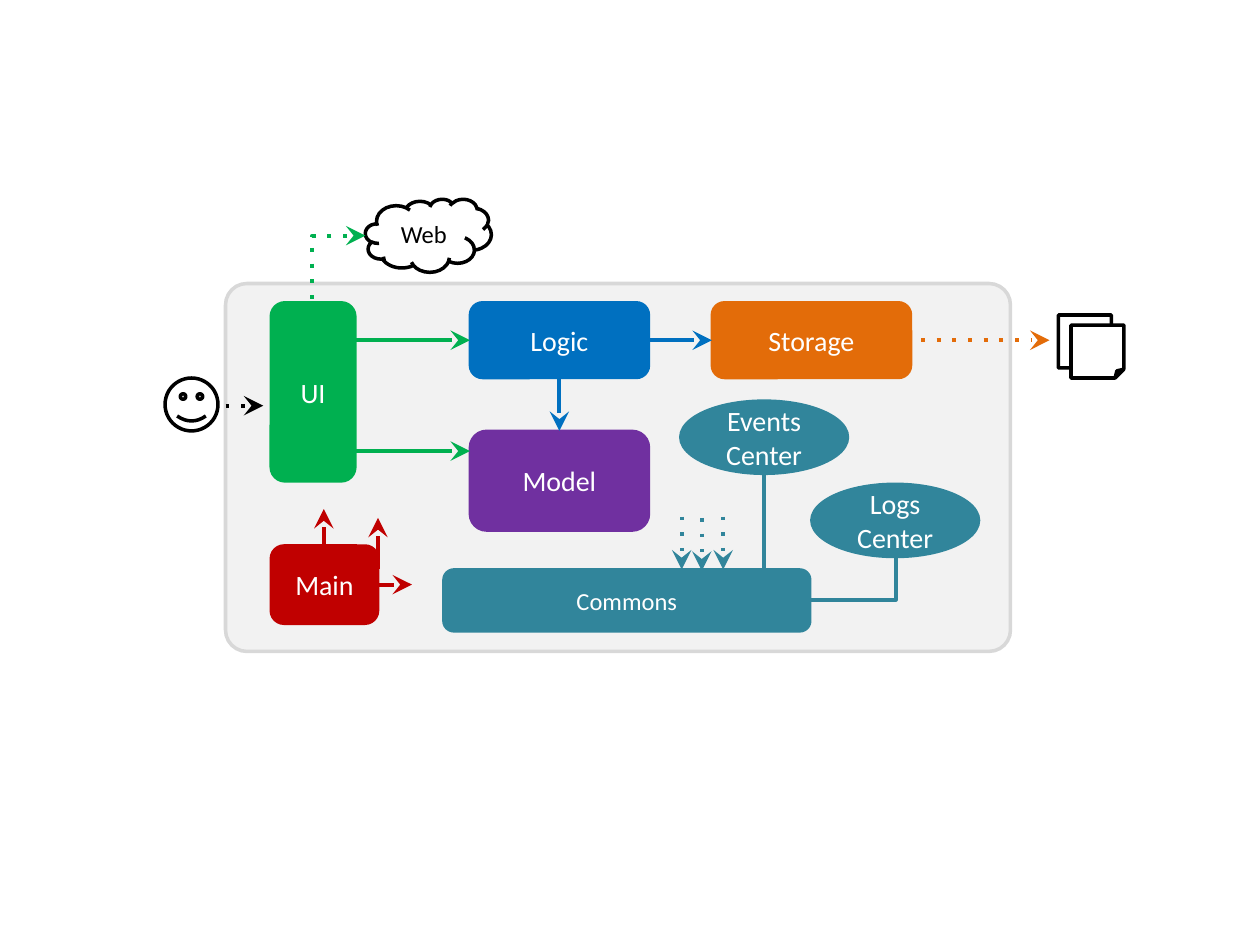
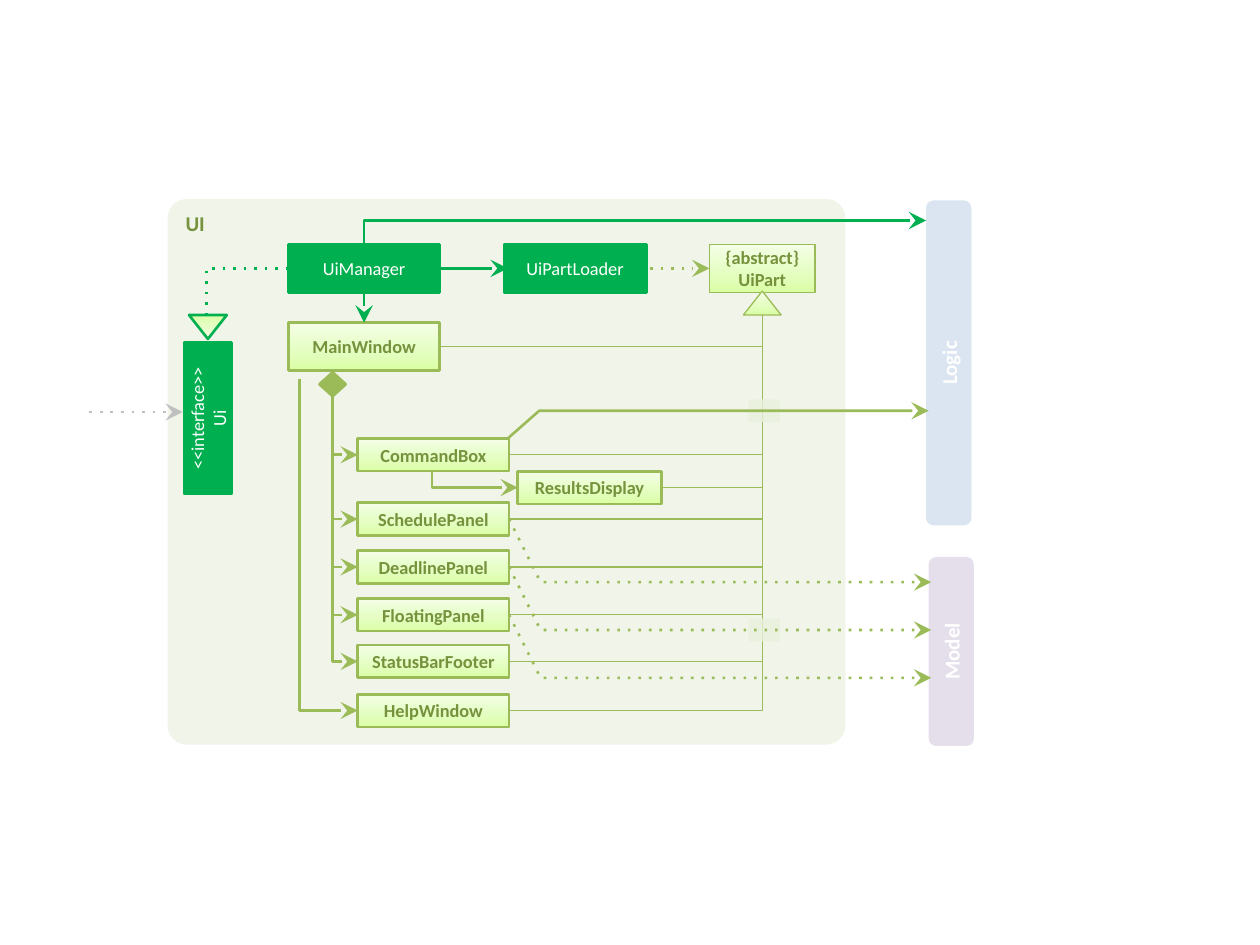
"""Draws an application's architecture overview and its UI class diagram."""
from copy import deepcopy
from lxml import etree
from pptx import Presentation, util as u
from pptx.dml.color import RGBColor
from pptx.enum import shapes, text
from pptx.oxml.ns import qn

KIND = shapes.MSO_SHAPE
FONT = "Calibri"
WHITE, BLACK, GREEN, BLUE = "FFFFFF", "000000", "00B050", "0070C0"
ORANGE, PURPLE, RED, TEAL = "E36C09", "7030A0", "C00000", "31859B"
OLIVE, MOSS, GREY = "9BBB59", "76923C", "BFBFBF"
LIME = ((0, "DAFEA4"), (0.35, "E3FEBF"), (1, "F4FEE6"))


def color(value):
    return RGBColor.from_string(value)


def write(box, label, size=16, ink=WHITE, bold=False,
          align=text.PP_ALIGN.CENTER, anchor=text.MSO_ANCHOR.MIDDLE):
    frame = box.text_frame
    frame.word_wrap = True
    frame.vertical_anchor = anchor
    frame.text = label
    for para in frame.paragraphs:
        para.alignment = align
        for span in para.runs:
            span.font.name = FONT
            span.font.size = u.Pt(size)
            span.font.bold = bold
            span.font.color.rgb = color(ink)


class Diagram:
    def __init__(self, deck, weight):
        self.page = deck.slides.add_slide(deck.slide_layouts[6])
        self.weight = weight

    def paint(self, box, fill, opacity=None):
        if isinstance(fill, tuple):
            box.fill.gradient()
            box.fill.gradient_angle = 90
            stops = box.element.spPr.find(qn("a:gradFill")).find(qn("a:gsLst"))
            stops.insert(1, deepcopy(stops[0]))
            for stop, (position, shade) in zip(box.fill.gradient_stops, fill):
                stop.position = position
                stop.color.rgb = color(shade)
            return
        box.fill.solid()
        box.fill.fore_color.rgb = color(fill)
        if opacity:
            solid = box.element.spPr.find(qn("a:solidFill"))
            etree.SubElement(solid[0], qn("a:alpha"), val=str(opacity * 1000))

    def box(self, kind, at, fill, line=None, weight=1.5, label=None,
            radius=None, rotation=0, opacity=None, **style):
        box = self.page.shapes.add_shape(kind, *map(u.Inches, at))
        box.shadow.inherit = False
        box.rotation = rotation
        if radius is not None:
            box.adjustments[0] = radius
        self.paint(box, fill, opacity)
        if line:
            box.line.color.rgb = color(line)
            box.line.width = u.Pt(weight)
        else:
            box.line.fill.background()
        if label:
            write(box, label, **style)
        return box

    def stroke(self, item, ink, weight=None, dotted=False, arrow=None):
        item.line.color.rgb = color(ink)
        item.line.width = u.Pt(weight or self.weight)
        outline = item.element.spPr.find(qn("a:ln"))
        if dotted:
            etree.SubElement(outline, qn("a:prstDash"), val="dot")
        if arrow:
            etree.SubElement(outline, qn(f"a:{arrow}End"),
                             type="stealth", w="lg", len="lg")

    def line(self, start, end, ink, kind=shapes.MSO_CONNECTOR.STRAIGHT, **style):
        line = self.page.shapes.add_connector(
            kind, *map(u.Inches, (*start, *end)))
        self.stroke(line, ink, **style)
        etree.SubElement(line.element.spPr, qn("a:effectLst"))
        return line

    def arrow(self, start, end, ink, **style):
        self.line(start, end, ink, arrow="tail", **style)

    def elbow(self, start, end, ink, **style):
        """Runs across from the start, then up or down to the end."""
        line = self.line(start, end, ink, shapes.MSO_CONNECTOR.ELBOW, **style)
        line.element.spPr.find(qn("a:prstGeom")).set("prst", "bentConnector2")

    def bent_arrow(self, points, ink, **style):
        first, *rest = [tuple(map(u.Inches, point)) for point in points]
        builder = self.page.shapes.build_freeform(*first, scale=1.0)
        builder.add_line_segments(rest, close=False)
        path = builder.convert_to_shape()
        path.shadow.inherit = False
        path.fill.background()
        self.stroke(path, ink, arrow="tail", **style)


def draw_architecture(deck):
    art = Diagram(deck, 2.25)
    art.box(KIND.ROUNDED_RECTANGLE, (1.79, 2.25, 6.23, 2.92), "F2F2F2",
            "D8D8D8", 2, radius=0.058)
    for label, at, fill, size in (
            ("UI", (2.15, 2.4, 0.67, 1.42), GREEN, 16),
            ("Logic", (3.73, 2.4, 1.42, 0.6), BLUE, 16),
            ("Storage", (5.65, 2.4, 1.58, 0.6), ORANGE, 16),
            ("Model", (3.73, 3.42, 1.42, 0.79), PURPLE, 16),
            ("Commons", (3.52, 4.52, 2.91, 0.49), TEAL, 14),
            ("Main", (2.15, 4.33, 0.85, 0.62), RED, 16)):
        art.box(KIND.ROUNDED_RECTANGLE, at, fill, fill, label=label, size=size)

    for start, end, ink in (
            ((2.81, 2.7), (3.73, 2.7), GREEN),
            ((2.81, 3.58), (3.73, 3.58), GREEN),
            ((4.44, 3), (4.44, 3.42), BLUE),
            ((5.15, 2.7), (5.65, 2.7), BLUE),
            ((3, 4.64), (3.27, 4.64), RED),
            ((3, 4.52), (3, 4.11), RED),
            ((2.57, 4.37), (2.57, 4.04), RED)):
        art.arrow(start, end, ink)
    for start, end, ink in (
            ((1.79, 3.22), (2.09, 3.22), BLACK),
            ((7.31, 2.7), (8.33, 2.7), ORANGE),
            ((5.41, 4.1), (5.41, 4.52), TEAL),
            ((5.57, 4.11), (5.57, 4.53), TEAL),
            ((5.74, 4.1), (5.74, 4.52), TEAL)):
        art.arrow(start, end, ink, dotted=True)

    art.box(KIND.SMILEY_FACE, (1.31, 3, 0.42, 0.42), WHITE, BLACK, 2)
    for left, top in ((8.4, 2.5), (8.5, 2.58)):
        art.box(KIND.FOLDED_CORNER, (left, top, 0.42, 0.42), WHITE, BLACK, 2)
    art.box(KIND.CLOUD, (2.9, 1.58, 1, 0.58), WHITE, BLACK, 2,
            label="Web", size=14, ink=BLACK)
    art.elbow((2.9, 1.87), (2.48, 2.4), GREEN, dotted=True, arrow="head")

    for label, left, top in (("Events Center", 5.4, 3.18),
                             ("Logs\nCenter", 6.44, 3.84)):
        art.box(KIND.OVAL, (left, top, 1.33, 0.58), TEAL, TEAL, label=label)
    art.elbow((6.43, 4.76), (7.11, 4.43), TEAL)
    art.line((6.06, 3.77), (6.06, 4.53), TEAL)


def draw_ui(deck):
    art = Diagram(deck, 1.5)
    solid = dict(fill=GREEN, line=GREEN, size=10.5)
    pale = dict(fill=LIME, line=OLIVE, size=10.5, ink=MOSS, bold=True)
    root = (6.05, 2.5)
    panels = {"CommandBox": 3.48, "SchedulePanel": 3.99, "DeadlinePanel": 4.37,
              "FloatingPanel": 4.75, "StatusBarFooter": 5.12,
              "HelpWindow": 5.51}

    art.box(KIND.ROUNDED_RECTANGLE, (1.33, 1.58, 5.38, 4.33), "F1F5E9",
            radius=0.035, label="UI", size=12, ink=MOSS, bold=True,
            align=text.PP_ALIGN.LEFT, anchor=text.MSO_ANCHOR.TOP)
    for label, at, fill in (("Logic", (6.24, 2.7, 2.58, 0.36), "DAE5F1"),
                            ("Model", (6.8, 4.99, 1.5, 0.36), "E5DFEC")):
        art.box(KIND.ROUNDED_RECTANGLE, at, fill, rotation=270, label=label,
                size=12, bold=True)

    for label, at, style in (
            ("MainWindow", (2.29, 2.56, 1.2, 0.38), pale),
            ("UiManager", (2.29, 1.94, 1.2, 0.38), solid),
            ("UiPartLoader", (4, 1.94, 1.13, 0.38), solid),
            ("ResultsDisplay", (4.11, 3.74, 1.14, 0.26), pale),
            ("{abstract}\nUiPart", (5.63, 1.94, 0.84, 0.38),
             dict(pale, weight=0.75)),
            ("<<interface>>\nUi", (1.05, 3.13, 1.2, 0.38),
             dict(solid, rotation=270))):
        art.box(KIND.RECTANGLE, at, label=label, **style)
    art.box(KIND.ISOSCELES_TRIANGLE, (5.9, 2.31, 0.3, 0.19), LIME, OLIVE, 0.75)
    art.box(KIND.ISOSCELES_TRIANGLE, (1.5, 2.5, 0.3, 0.19), LIME, GREEN,
            rotation=180)
    art.box(KIND.FLOWCHART_DECISION, (2.54, 2.96, 0.2, 0.18), OLIVE, OLIVE, 2)

    for label, top in panels.items():
        middle = top + 0.13
        owner = (2.38, 3.01) if label == "HelpWindow" else (2.64, 3.14)
        art.box(KIND.RECTANGLE, (2.84, top, 1.2, 0.26), label=label, **pale)
        art.elbow((2.84, middle), owner, OLIVE, arrow="head")
        art.elbow((4.03, middle), root, OLIVE, weight=0.75)
    for start in ((3.49, 2.75), (5.25, 3.87)):
        art.elbow(start, root, OLIVE, weight=0.75)
    art.elbow((4.11, 3.87), (3.43, 3.74), OLIVE, arrow="head")

    art.arrow((2.89, 2.32), (2.89, 2.56), GREEN)
    art.arrow((3.5, 2.13), (4.03, 2.13), GREEN)
    art.arrow((5.16, 2.13), (5.63, 2.13), OLIVE, dotted=True)
    art.arrow((0.71, 3.27), (1.45, 3.27), GREY, dotted=True)
    art.elbow((7.35, 1.75), (2.89, 1.94), GREEN, arrow="head")
    art.elbow((2.29, 2.13), (1.64, 2.5), GREEN, dotted=True)

    for top in (3.17, 4.91):
        art.box(KIND.RECTANGLE, (5.94, top, 0.25, 0.18), "EAF1DD", opacity=80)
    art.bent_arrow(((4.03, 3.48), (4.28, 3.26), (7.37, 3.26)), OLIVE)
    for label in ("SchedulePanel", "DeadlinePanel", "FloatingPanel"):
        middle = panels[label] + 0.13
        low = middle + 0.5
        art.bent_arrow(((4.04, middle), (4.29, low), (7.39, low)), OLIVE,
                       dotted=True)


deck = Presentation()
deck.slide_width, deck.slide_height = u.Inches(10), u.Inches(7.5)
draw_architecture(deck)
draw_ui(deck)
deck.save("out.pptx")
